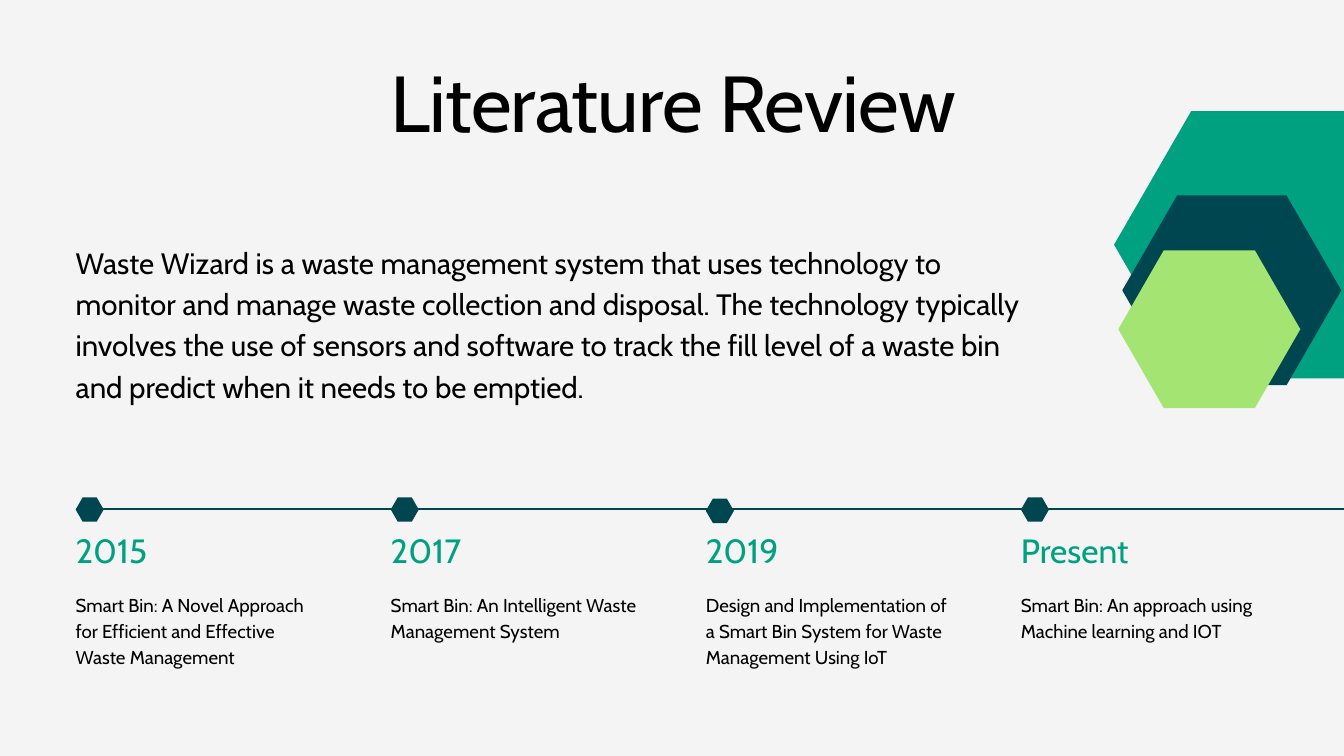
"""Build the literature review slide with its timeline of studies."""
from lxml import etree
from pptx import Presentation
from pptx import util as u
from pptx.dml.color import RGBColor
from pptx.enum import shapes, text
from pptx.oxml.ns import qn

COLOURS = {
    "background": "F4F4F4",
    "ink": "000000",
    "teal": "00A181",
    "petrol": "004651",
    "lime": "A4E473",
}
FONT = "Cabin"
MARGIN = 2.86
COLUMN_STEP = 11.91
COLUMN_WIDTH = 9.35
AXIS_Y = 19.25

MILESTONES = [
    ("2015", "Smart Bin: A Novel Approach for Efficient and Effective Waste Management", 2.9, 0),
    ("2017", "Smart Bin: An Intelligent Waste Management System", 1.91, 0),
    ("2019", "Design and Implementation of a Smart Bin System for Waste Management Using IoT", 3.89, 0.05),
    ("Present", "Smart Bin: An approach using Machine learning and IOT", 2.9, 0),
]
HEXAGONS = [
    (42.11, 4.2, 11.66, 10.1, "teal"),
    (42.42, 7.39, 8.28, 7.17, "petrol"),
    (42.27, 9.46, 6.88, 5.97, "lime"),
]
SUMMARY = (
    "Waste Wizard is a waste management system that uses technology to monitor "
    "and manage waste collection and disposal. The technology typically involves "
    "the use of sensors and software to track the fill level of a waste bin and "
    "predict when it needs to be emptied."
)


def colour(name):
    return RGBColor.from_string(COLOURS[name])


def add_text(slide, words, left, top, width, height, *, size, leading, ink="ink", tracking=None):
    box = slide.shapes.add_textbox(u.Cm(left), u.Cm(top), u.Cm(width), u.Cm(height))
    frame = box.text_frame
    frame.word_wrap = True
    frame.auto_size = text.MSO_AUTO_SIZE.SHAPE_TO_FIT_TEXT
    frame.margin_left = frame.margin_right = frame.margin_top = frame.margin_bottom = 0
    paragraph = frame.paragraphs[0]
    paragraph.line_spacing = u.Pt(leading)
    run = paragraph.add_run()
    run.text = words
    run.font.name = FONT
    run.font.size = u.Pt(size)
    run.font.color.rgb = colour(ink)
    if tracking is not None:
        run._r.get_or_add_rPr().set("spc", str(round(tracking * 100)))


def add_hexagon(slide, left, top, width, height, fill):
    corners = [(1, 0.5), (0.75, 1), (0.25, 1), (0, 0.5), (0.25, 0), (0.75, 0)]
    points = [(u.Cm(left + width * x), u.Cm(top + height * y)) for x, y in corners]
    builder = slide.shapes.build_freeform(*points[0])
    builder.add_line_segments(points[1:], close=True)
    hexagon = builder.convert_to_shape()
    hexagon.shadow.inherit = False
    hexagon.fill.solid()
    hexagon.fill.fore_color.rgb = colour(fill)
    hexagon.line.fill.background()


def add_axis(slide, start, end, y):
    axis = slide.shapes.add_connector(
        shapes.MSO_CONNECTOR.STRAIGHT, u.Cm(start), u.Cm(y), u.Cm(end), u.Cm(y)
    )
    axis.line.color.rgb = colour("petrol")
    axis.line.width = u.Pt(2)
    etree.SubElement(axis._element.spPr, qn("a:effectLst"))


def add_milestone(slide, left, when, study, study_height, drop):
    add_hexagon(slide, left, 18.8 + drop, 1.06, 0.92, "petrol")
    add_text(slide, when, left, 20.04, COLUMN_WIDTH, 1.52, size=36, leading=43.2, ink="teal")
    add_text(slide, study, left, 22.3, COLUMN_WIDTH, study_height, size=20, leading=28)


def main():
    deck = Presentation()
    deck.slide_width, deck.slide_height = u.Cm(50.8), u.Cm(28.575)
    slide = deck.slides.add_slide(deck.slide_layouts[6])
    slide.background.fill.solid()
    slide.background.fill.fore_color.rgb = colour("background")

    add_text(slide, "Literature Review", 14.76, 2.03, 24.89, 3.58,
             size=85, leading=102, tracking=-0.8)
    add_axis(slide, 3.51, 50.8, AXIS_Y)
    for column, milestone in enumerate(MILESTONES):
        add_milestone(slide, MARGIN + column * COLUMN_STEP, *milestone)
    for hexagon in HEXAGONS:
        add_hexagon(slide, *hexagon)
    add_text(slide, SUMMARY, MARGIN, 9.02, 36.45, 6.17, size=31.6, leading=44.3)
    deck.save("out.pptx")


if __name__ == "__main__":
    main()
